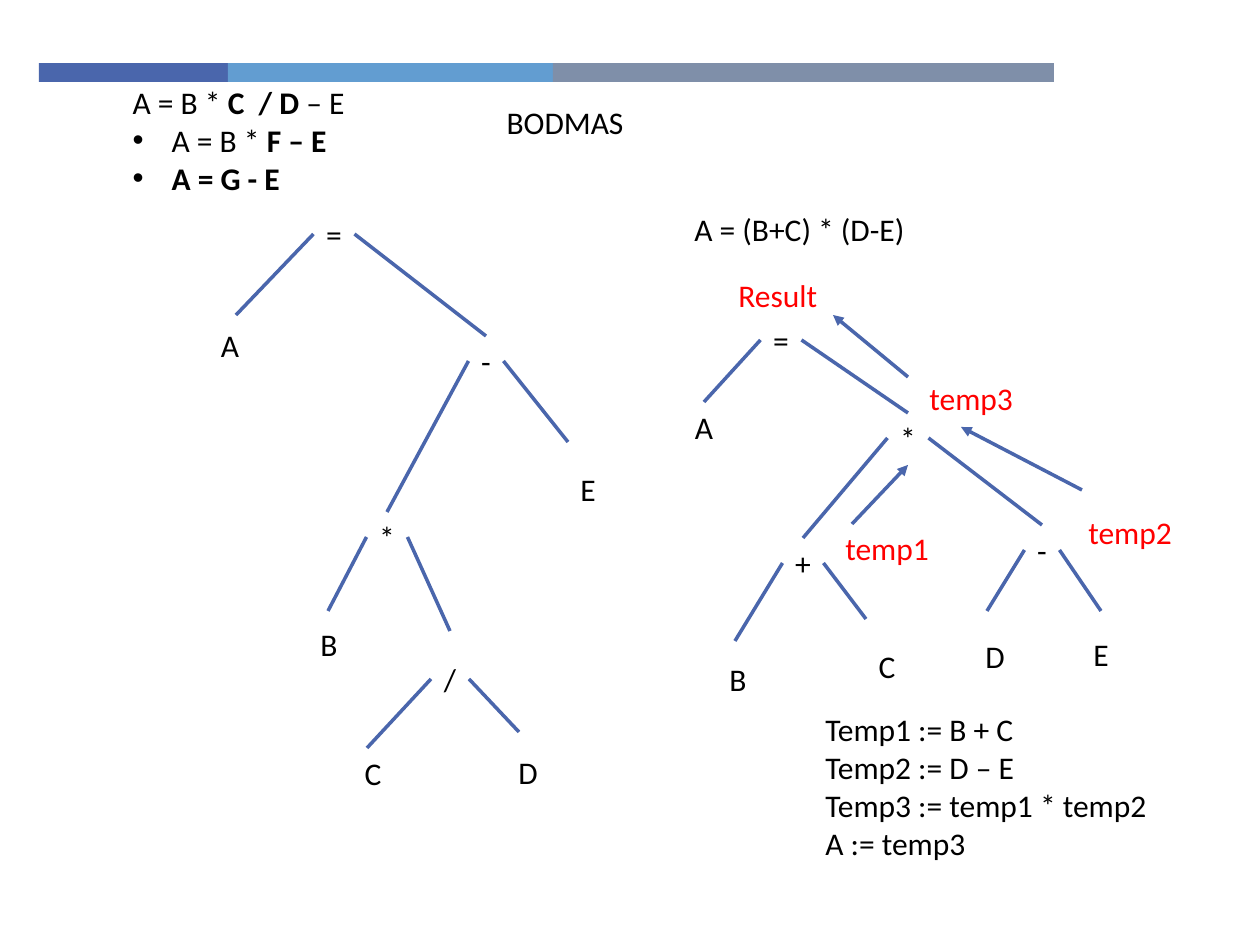
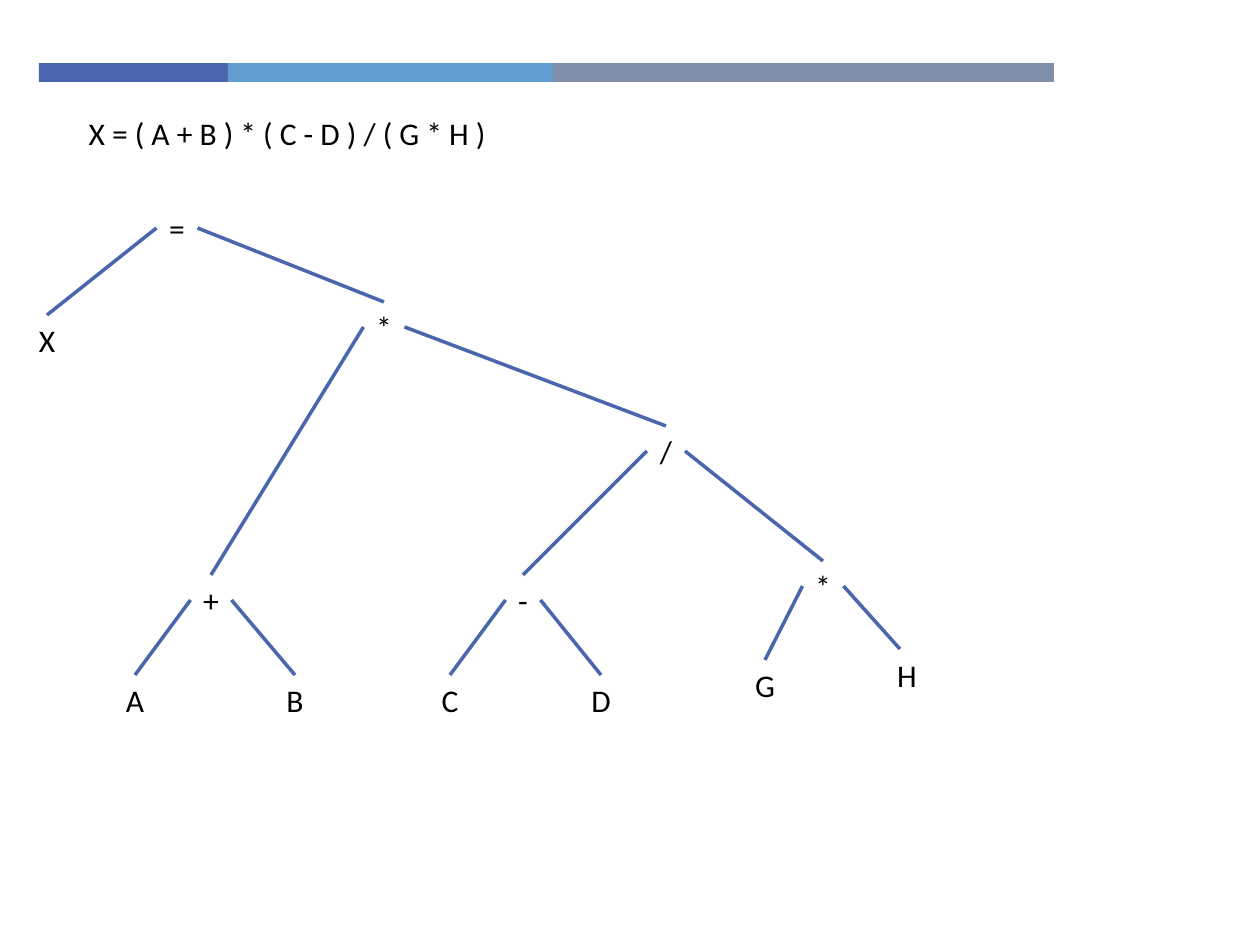
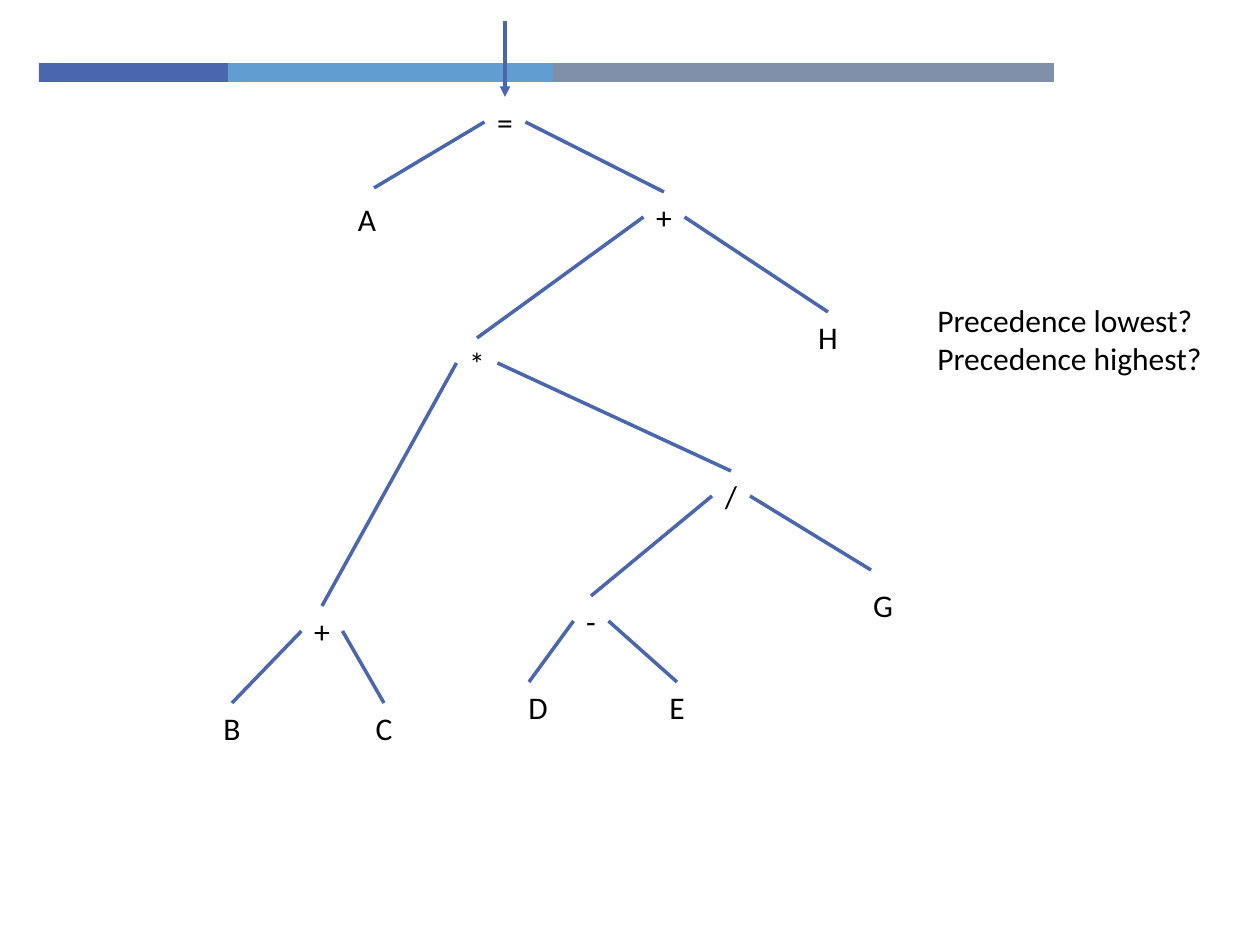
"""Build three slides of expression trees with operator precedence notes."""
from dataclasses import dataclass

from pptx import Presentation
from pptx.dml.color import RGBColor
from pptx.enum.shapes import MSO_CONNECTOR, MSO_SHAPE
from pptx.enum.text import MSO_ANCHOR, MSO_AUTO_SIZE, PP_ALIGN
from pptx.oxml.ns import qn
from pptx.util import Inches, Pt
from lxml.etree import SubElement

SCALE = Inches(1) / 126
TITLE_AND_BODY, TITLE_ONLY, BLANK = 1, 5, 6


@dataclass(frozen=True)
class Theme:
    font: str = "Calibri"
    size: int = 18
    ink: str = "000000"
    accent: str = "FF0000"
    edge: str = "4A66AC"
    edge_width: int = 2
    bands: tuple = (("4A66AC", 189), ("629DD1", 325), ("7F8FA9", 501))


@dataclass
class Node:
    symbol: str
    x: int
    top: int
    left: "Node" = None
    right: "Node" = None
    end: tuple = None


LINE_HEIGHT = 51
EDGE_DROP = 25
DEFAULT_WIDTH = 44
OPERATOR_WIDTHS = {"=": 41, "+": 41, "*": 41, "/": 38, "-": 35}


def px(length):
    return round(length * SCALE)


class Painter:
    def __init__(self, deck, theme):
        self.deck, self.theme, self.page = deck, theme, None

    def new_page(self, layout):
        self.page = self.deck.slides.add_slide(self.deck.slide_layouts[layout])
        left = 39
        for color, width in self.theme.bands:
            band = self.page.shapes.add_shape(
                MSO_SHAPE.RECTANGLE, px(left), px(63), px(width), px(19))
            band.shadow.inherit = False
            band.fill.solid()
            band.fill.fore_color.rgb = RGBColor.from_string(color)
            band.line.fill.background()
            left += width

    def place(self, box, left, top, width, height):
        box.left, box.top, box.width, box.height = map(px, (left, top, width, height))
        frame = box.text_frame
        frame.word_wrap = False
        frame.auto_size = MSO_AUTO_SIZE.NONE
        frame.vertical_anchor = MSO_ANCHOR.TOP
        return frame

    def add_spans(self, para, runs, color=None, align=PP_ALIGN.LEFT):
        para.alignment = align
        para.space_before = Pt(0)
        for text, bold in runs:
            span = para.add_run()
            span.text = text
            span.font.name = self.theme.font
            span.font.size = Pt(self.theme.size)
            span.font.bold = bold
            span.font.color.rgb = RGBColor.from_string(color or self.theme.ink)

    def title(self, text, left, top, width):
        frame = self.place(self.page.shapes.title, left, top, width, LINE_HEIGHT)
        self.add_spans(frame.paragraphs[0], [(text, False)])

    def outline(self, rows, left, top, width, height):
        frame = self.place(self.page.placeholders[1], left, top, width, height)
        for index, (bulleted, runs) in enumerate(rows):
            para = frame.add_paragraph() if index else frame.paragraphs[0]
            self.add_spans(para, runs)
            indent = px(39) if bulleted else 0
            props = para._p.get_or_add_pPr()
            props.set("marL", str(indent))
            props.set("indent", str(-indent))
            if bulleted:
                SubElement(props, qn("a:buFont")).set("typeface", "Arial")
                SubElement(props, qn("a:buChar")).set("char", "•")
            else:
                SubElement(props, qn("a:buNone"))

    def label(self, lines, left, top, width, height=LINE_HEIGHT,
              color=None, align=PP_ALIGN.LEFT):
        box = self.page.shapes.add_textbox(0, 0, 0, 0)
        frame = self.place(box, left, top, width, height)
        for index, text in enumerate(lines):
            para = frame.add_paragraph() if index else frame.paragraphs[0]
            self.add_spans(para, [(text, False)], color, align)

    def line(self, start, finish, arrow=False):
        edge = self.page.shapes.add_connector(
            MSO_CONNECTOR.STRAIGHT, *map(px, start + finish))
        edge.line.color.rgb = RGBColor.from_string(self.theme.edge)
        edge.line.width = Pt(self.theme.edge_width)
        props = edge._element.spPr
        if arrow:
            SubElement(props.find(qn("a:ln")), qn("a:tailEnd")).set("type", "triangle")
        SubElement(props, qn("a:effectLst"))

    def tree(self, node):
        width = OPERATOR_WIDTHS.get(node.symbol, DEFAULT_WIDTH)
        self.label([node.symbol], node.x - width / 2, node.top, width,
                   align=PP_ALIGN.CENTER)
        for child, side in ((node.left, -1), (node.right, 1)):
            if child:
                start = (node.x + side * width / 2, node.top + EDGE_DROP)
                self.line(start, child.end or (child.x, child.top))
                self.tree(child)


def precedence_page(painter):
    painter.new_page(TITLE_AND_BODY)
    painter.title("BODMAS", 494, 97, 144)
    painter.outline([
        (False, [("A = B * ", False), ("C  / D ", True), ("– E ", False)]),
        (True, [("A = B * ", False), ("F – E", True)]),
        (True, [("A = G - E", True)]),
    ], 120, 77, 255, 127)
    division = Node("/", 450, 654, Node("C", 373, 748, end=(367, 748)),
                    Node("D", 528, 747, end=(519, 732)), end=(450, 631))
    product = Node("*", 387, 512, Node("B", 329, 619, end=(328, 611)), division)
    difference = Node("-", 486, 336, product, Node("E", 588, 464, end=(568, 442)))
    painter.tree(Node("=", 334, 209, Node("A", 230, 320, end=(236, 315)), difference))

    painter.label(["A = (B+C) * (D-E)"], 682, 204, 238)
    total = Node("+", 803, 538, Node("B", 738, 654, end=(735, 641)),
                 Node("C", 887, 641, end=(866, 619)))
    difference = Node("-", 1042, 525, Node("D", 995, 631, end=(987, 611)),
                      Node("E", 1101, 629, end=(1101, 611)))
    product = Node("*", 908, 413, total, difference)
    painter.tree(Node("=", 781, 315, Node("A", 704, 402), product))
    painter.label(["Temp1 := B + C", "Temp2 := D – E", "Temp3 := temp1 * temp2",
                   "A := temp3"], 813, 704, 350, 242)
    for text, left, top, width in (("temp1", 833, 523, 110), ("temp2", 1076, 507, 110),
                                   ("temp3", 917, 373, 110), ("Result", 726, 270, 105)):
        painter.label([text], left, top, width, color=painter.theme.accent)
    for start, finish in (((1082, 490), (961, 427)), ((852, 524), (908, 465)),
                          ((908, 377), (833, 315))):
        painter.line(start, finish, arrow=True)


def formula_page(painter):
    painter.new_page(TITLE_ONLY)
    painter.title("X = ( A + B ) * ( C - D ) / ( G * H )", 76, 108, 430)
    total = Node("+", 211, 575, Node("A", 135, 675), Node("B", 295, 675))
    difference = Node("-", 523, 575, Node("C", 450, 675), Node("D", 601, 675))
    divisor = Node("*", 823, 561, Node("G", 765, 660),
                   Node("H", 907, 650, end=(900, 649)))
    division = Node("/", 666, 426, difference, divisor)
    product = Node("*", 384, 302, total, division)
    painter.tree(Node("=", 177, 203, Node("X", 47, 315), product))


def question_page(painter):
    painter.new_page(BLANK)
    total = Node("+", 322, 606, Node("B", 232, 703), Node("C", 384, 703))
    difference = Node("-", 591, 596, Node("D", 538, 682, end=(529, 682)),
                      Node("E", 677, 682))
    division = Node("/", 731, 471, difference, Node("G", 883, 580, end=(871, 570)))
    product = Node("*", 477, 338, total, division)
    result = Node("+", 664, 192, product, Node("H", 828, 312))
    painter.tree(Node("=", 505, 97, Node("A", 367, 194, end=(374, 188)), result))
    painter.label(["Precedence lowest?", "Precedence highest?"], 925, 295, 294, 89)
    painter.line((505, 21), (505, 97), arrow=True)


deck = Presentation()
deck.slide_width, deck.slide_height = px(1260), px(945)
painter = Painter(deck, Theme())
precedence_page(painter)
formula_page(painter)
question_page(painter)
deck.save("out.pptx")
